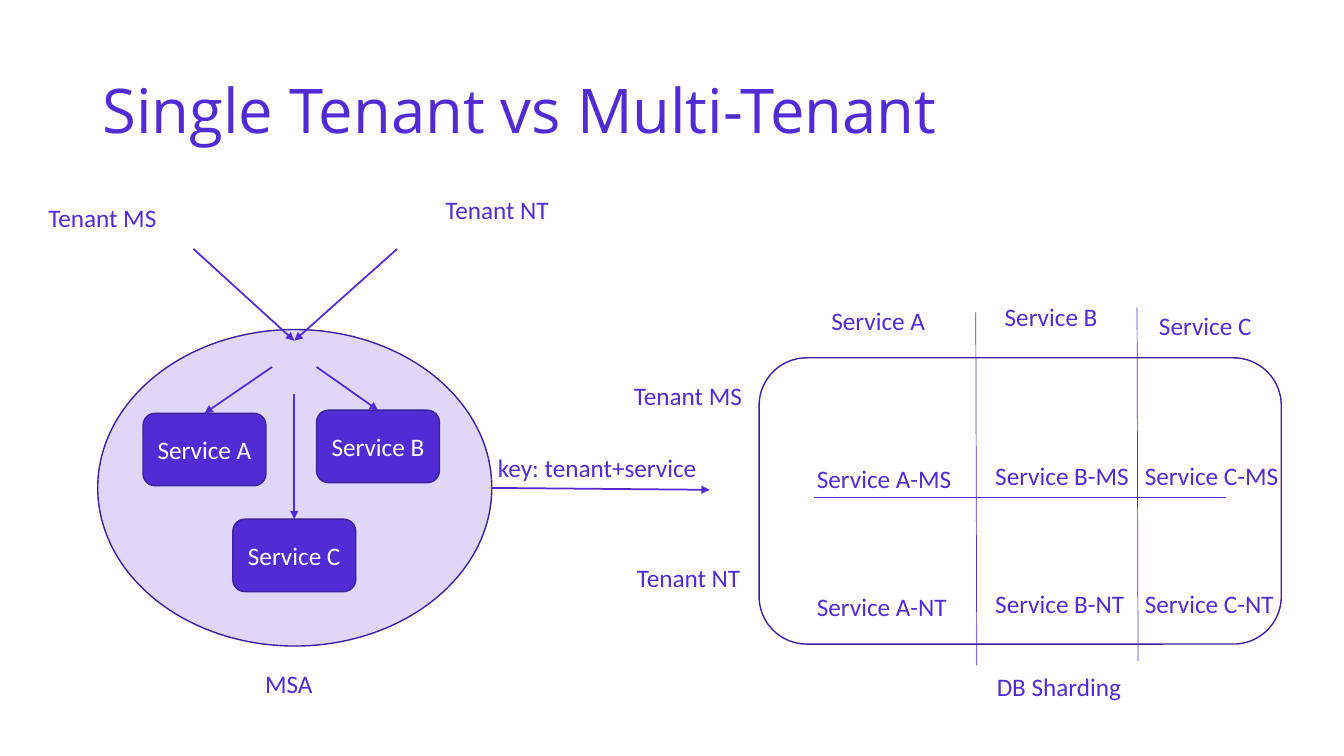
from lxml.etree import SubElement as Sub
from pptx import Presentation
from pptx.dml.color import RGBColor as Rgb
from pptx.enum.shapes import MSO_CONNECTOR as Link, MSO_SHAPE as Form
from pptx.enum.text import MSO_ANCHOR as Anchor, MSO_AUTO_SIZE as Fit, PP_ALIGN as Align
from pptx.oxml.ns import qn
from pptx.util import Pt

MAIN, EDGE, PALE, WHITE = "512BD3", "3C209C", "DED7F7", "FFFFFF"


def color(fmt, tone):
    """Give a font, line or fill a solid hex colour."""
    if hasattr(fmt, "solid"):
        fmt.solid()
        fmt.fore_color.rgb = Rgb.from_string(tone)
    else:
        fmt.color.rgb = Rgb.from_string(tone)


def write(shape, text, size=18, font="Calibri", tone=MAIN, align=Align.LEFT,
          anchor=Anchor.TOP, wrap=True, space=None):
    """Put one formatted paragraph into a shape."""
    frame = shape.text_frame
    frame.word_wrap = wrap
    frame.vertical_anchor = anchor
    frame.auto_size = Fit.NONE if wrap else Fit.SHAPE_TO_FIT_TEXT
    para = frame.paragraphs[0]
    para.alignment = align
    para.line_spacing = space
    run = para.add_run()
    run.text = text
    run.font.size = Pt(size)
    run.font.name = font
    color(run.font, tone)


def box(shapes, form, left, top, width, height, fill):
    """Draw an outlined preset shape."""
    shape = shapes.add_shape(form, Pt(left), Pt(top), Pt(width), Pt(height))
    shape.shadow.inherit = False
    color(shape.fill, fill)
    color(shape.line, EDGE)
    shape.line.width = Pt(1)
    return shape


def label(shapes, text, left, top, width):
    """Place a one-line caption."""
    area = shapes.add_textbox(Pt(left), Pt(top), Pt(width), Pt(29.1))
    write(area, text, wrap=False)


def line(shapes, start, end, width=0.5, goal=None):
    """Draw a plain straight line, joined to the top of goal if given."""
    link = shapes.add_connector(Link.STRAIGHT, *map(Pt, start + end))
    if goal is not None:
        link.end_connect(goal, 0)
    color(link.line, MAIN)
    link.line.width = Pt(width)
    Sub(link._element.spPr, qn("a:effectLst"))
    return link


def arrow(shapes, start, end, goal=None):
    """Draw a line with a triangle at its end."""
    link = line(shapes, start, end, 1.25, goal)
    Sub(link.line._get_or_add_ln(), qn("a:tailEnd"), type="triangle")


def cluster(shapes):
    """Draw the services that the tenants share."""
    group = shapes.add_group_shape().shapes
    box(group, Form.OVAL, 69.8, 235.4, 281.5, 226.1, PALE)
    nodes = [("A", 102.2, 295.2, (194.4, 262.1)),
             ("B", 226.1, 293, (226.1, 262.1)),
             ("C", 166.3, 370.8, (210.2, 281.5))]
    for name, left, top, start in nodes:
        node = box(group, Form.ROUNDED_RECTANGLE, left, top, 87.8, 51.8, MAIN)
        write(node, f"Service {name}", tone=WHITE, align=Align.CENTER,
              anchor=Anchor.MIDDLE)
        arrow(shapes, start, (left + 43.9, top), node)
    for start in (138.2, 283.7):
        arrow(shapes, (start, 177.8), (210.2, 243.4))
    label(shapes, "Tenant MS", 27.4, 141.1, 92.9)
    label(shapes, "Tenant NT", 311, 135.4, 89.3)
    label(shapes, "MSA", 182.2, 473.8, 49)


def shards(shapes):
    """Draw the database split by tenant and service."""
    box(shapes, Form.ROUNDED_RECTANGLE, 542.2, 255.6, 373, 204.5, WHITE)
    line(shapes, (581.8, 355), (875.5, 355))
    line(shapes, (697, 223.2), (697.7, 475.2))
    line(shapes, (812.2, 219.6), (812.9, 472.3))
    heads = [("A", 586.8, 214.6, 82.1), ("B", 710.6, 211.7, 81.4),
             ("C", 820.8, 218.2, 81.4)]
    for name, left, top, width in heads:
        label(shapes, f"Service {name}", left, top, width)
    cells = [("A", 576.4, 327.6, 115.9, 108.7), ("B", 703.8, 325.4, 110.9, 108),
             ("C", 810.7, 325.4, 110.9, 107.3)]
    for name, left, top, first, second in cells:
        label(shapes, f"Service {name}-MS", left, top, first)
        label(shapes, f"Service {name}-NT", left, top + 91.4, second)
    label(shapes, "Tenant MS", 445.7, 267.8, 92.9)
    label(shapes, "Tenant NT", 447.8, 398.2, 89.3)
    label(shapes, "DB Sharding", 704.9, 475.9, 104.4)


def main():
    """Build and save the slide."""
    deck = Presentation()
    deck.slide_width, deck.slide_height = Pt(960), Pt(540)
    shapes = deck.slides.add_slide(deck.slide_layouts[6]).shapes
    title = shapes.add_textbox(Pt(66), Pt(28.8), Pt(828), Pt(104.4))
    write(title, "Single Tenant vs Multi-Tenant", size=44, font="Open Sans",
          anchor=Anchor.MIDDLE, space=0.9)
    cluster(shapes)
    shards(shapes)
    arrow(shapes, (350.6, 348.5), (506.9, 349.9))
    label(shapes, "key: tenant+service", 348.5, 319.7, 157.7)
    deck.save("out.pptx")


if __name__ == "__main__":
    main()
